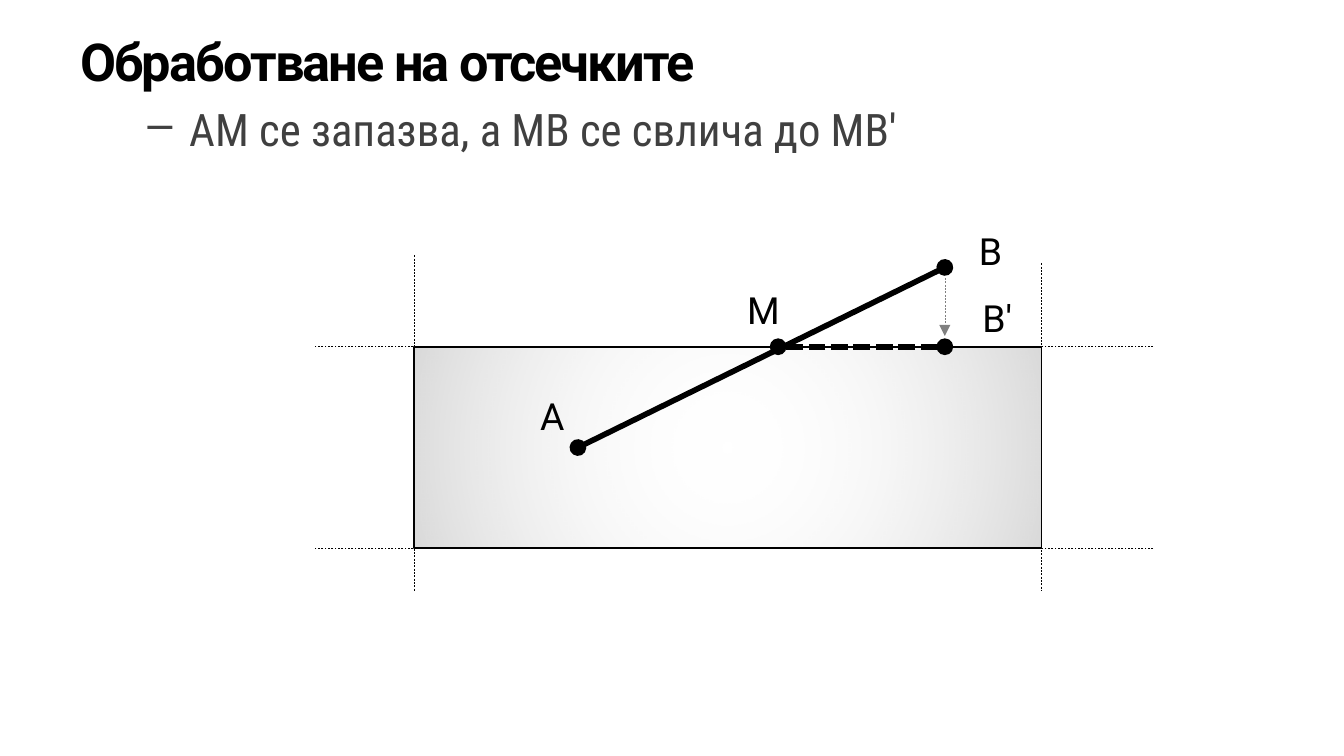
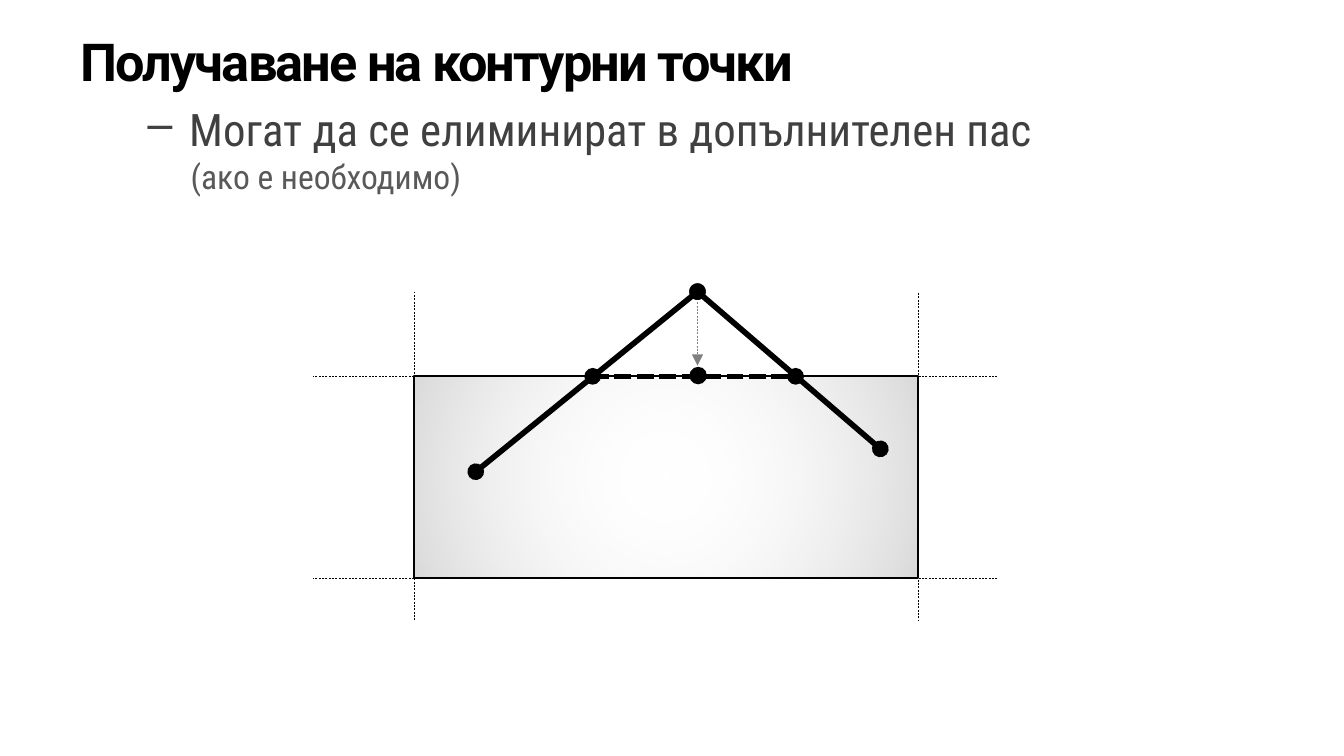
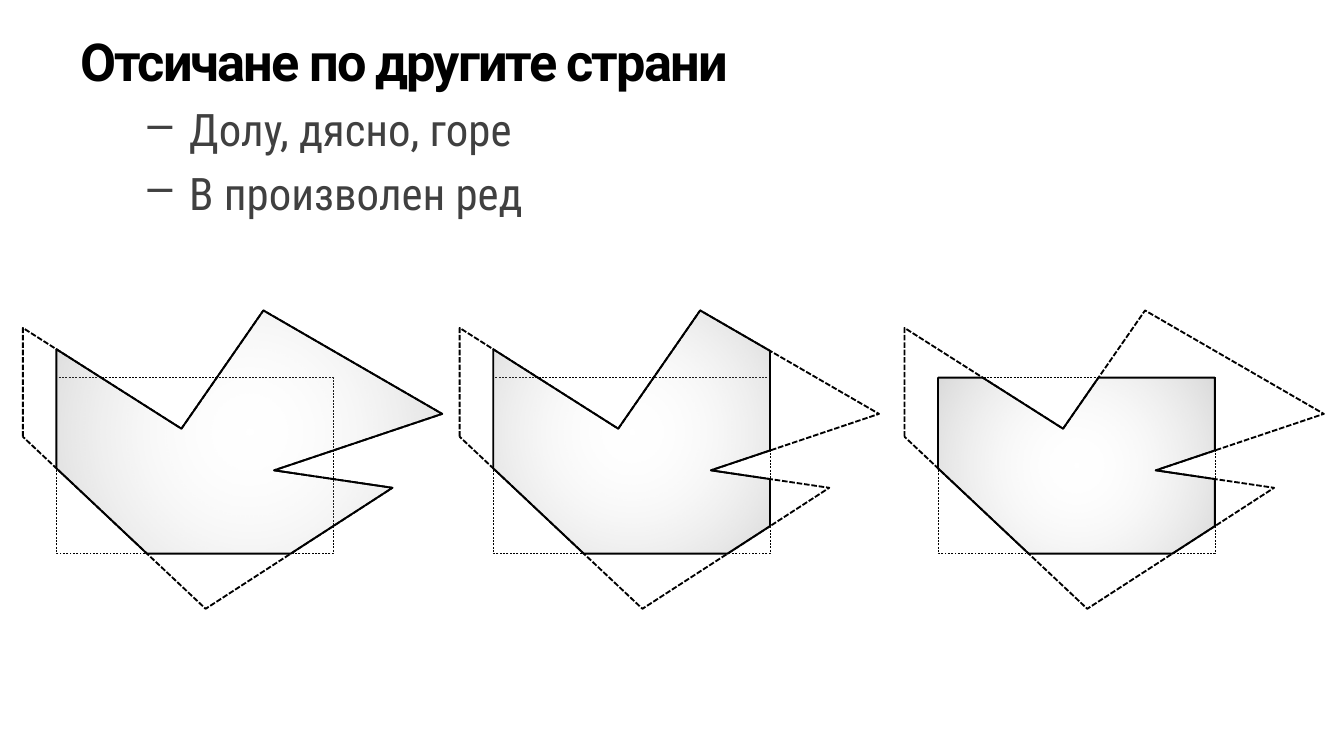
from pptx import Presentation
from pptx.dml.color import RGBColor
from pptx.enum.dml import MSO_LINE
from pptx.enum.shapes import MSO_CONNECTOR, MSO_SHAPE
from pptx.enum.text import MSO_AUTO_SIZE, PP_ALIGN
from pptx.oxml import parse_xml
from pptx.oxml.ns import nsdecls, qn
from pptx.util import Emu, Pt

SCALE = 9144  # EMU in one px, 100 px to the inch
COLORS = {"ink": "000000", "body": "404040", "note": "595959",
          "gray": "808080", "white": "FFFFFF"}
HEAD = dict(size=28, bold=True, spc=-100, left=38, hang=-38)
ITEM = dict(size=24, font="Roboto Condensed", color="body", level=1,
            left=81, hang=-31, bullet="–", gap=5.2)
NOTE = dict(size=18, font="Roboto Condensed", color="note", level=2, left=82)
BOLD = dict(width=3, head="oval", tail="oval")
THIN = dict(width=0.25, dash=MSO_LINE.DASH)


def px(n):
    return Emu(round(n * SCALE))


def rgb(name):
    return RGBColor.from_string(COLORS[name])


def put(frame, text, size=20, font="Roboto", color="ink", bold=False, spc=0,
        align=PP_ALIGN.LEFT, level=0, left=0, hang=0, bullet=None, gap=0):
    """Add one paragraph to a text frame."""
    para = frame.paragraphs[0]
    if para.runs:
        para = frame.add_paragraph()
    para.level, para.alignment = level, align
    para.space_before = Pt(gap)
    props = para._p.get_or_add_pPr()
    props.set("marL", str(px(left)))
    props.set("indent", str(px(hang)))
    mark = f'buChar {nsdecls("a")} char="{bullet}"' if bullet else f'buNone {nsdecls("a")}'
    props.append(parse_xml(f"<a:{mark}/>"))
    run = para.add_run()
    run.text = text
    run.font.size, run.font.name, run.font.bold = Pt(size), font, bold
    run.font.color.rgb = rgb(color)
    run._r.get_or_add_rPr().set("spc", str(spc))


def frame_at(slide, x, y, w, h):
    frame = slide.shapes.add_textbox(px(x), px(y), px(w), px(h)).text_frame
    frame.word_wrap = True
    return frame


def heading(slide, title, items, note=None):
    frame = frame_at(slide, 50, 17, 950, 533)
    put(frame, title, **HEAD)
    for item in items:
        put(frame, item, **ITEM)
    if note:
        put(frame, note, **NOTE)


def label(slide, text, x, y):
    """Write a point's name centred on x with its box top at y."""
    frame = frame_at(slide, x - 54, y, 108, 44)
    frame.auto_size = MSO_AUTO_SIZE.SHAPE_TO_FIT_TEXT
    put(frame, text, align=PP_ALIGN.CENTER)


def stroke(line, width, dash=None, color="ink"):
    line.color.rgb = rgb(color)
    line.width = Pt(width)
    if dash:
        line.dash_style = dash


def link(shapes, start, end, head=None, tail=None, **style):
    """Draw a straight line with optional end marks."""
    line = shapes.add_connector(MSO_CONNECTOR.STRAIGHT,
                                *(px(n) for n in (*start, *end)))
    stroke(line.line, **style)
    props = line._element.spPr
    for tag, kind in (("headEnd", head), ("tailEnd", tail)):
        if kind:
            props.find(qn("a:ln")).append(
                parse_xml(f'<a:{tag} {nsdecls("a")} type="{kind}"/>'))
    props.append(parse_xml(f'<a:effectLst {nsdecls("a")}/>'))


def glow(shape):
    """Fill from a clear centre to a light gray rim."""
    shape.fill.background()
    props = shape._element.spPr
    stops = "".join(
        f'<a:gs pos="{pos}"><a:srgbClr val="{COLORS[name]}">'
        f'<a:alpha val="{alpha}"/></a:srgbClr></a:gs>'
        for pos, name, alpha in ((0, "white", 0), (100000, "gray", 30000)))
    grad = parse_xml(
        f'<a:gradFill {nsdecls("a")} rotWithShape="1"><a:gsLst>{stops}</a:gsLst>'
        '<a:path path="circle"><a:fillToRect l="50000" t="50000" r="50000" '
        'b="50000"/></a:path></a:gradFill>')
    props.replace(props.find(qn("a:noFill")), grad)


def finish(shape, fill=False, **style):
    shape.shadow.inherit = False
    if fill:
        glow(shape)
    else:
        shape.fill.background()
    stroke(shape.line, **style)


def block(slide, x, y, w, h, **style):
    shape = slide.shapes.add_shape(MSO_SHAPE.RECTANGLE, px(x), px(y), px(w), px(h))
    finish(shape, **style)


def polygon(slide, points, **style):
    first, *rest = [(px(x), px(y)) for x, y in points]
    path = slide.shapes.build_freeform(*first)
    path.add_line_segments(rest, close=True)
    finish(path.convert_to_shape(), **style)


def window(slide, x, y, w, h, rises, reach):
    """Draw the clipping window with its sides extended as guides."""
    right, base = x + w, y + h
    group = slide.shapes.add_group_shape().shapes
    for side, rise in zip((x, right), rises):
        link(group, (side, y - rise), (side, base + 32), **THIN)
    group = slide.shapes.add_group_shape().shapes
    for level in (base, y):
        link(group, (right + reach, level), (x - 75, level), **THIN)
    block(slide, x, y, w, h, fill=True, width=1)


def drop(slide, x, top, base):
    link(slide.shapes, (x, top + 8), (x, base - 8), tail="triangle",
         color="gray", **THIN)


def segment(slide, x, y):
    """One segment crossing the top side of the window at (x, y)."""
    window(slide, x, y, 467, 150, (68, 62), 83)
    end, top = x + 395, y - 59
    link(slide.shapes, (end, top), (x + 122, y + 75), **BOLD)
    for name, dx, dy in (("A", 103, 30), ("B", 429, -93),
                         ("M", 260, -49), ("B'", 434, -43)):
        label(slide, name, x + dx, y + dy)
    drop(slide, end, top, y)
    link(slide.shapes, (end, y), (x + 271, y), dash=MSO_LINE.SQUARE_DOT, **BOLD)


def corner(slide, x, y):
    """Two segments that meet above the top side of the window."""
    window(slide, x, y, 375, 150, (63, 62), 59)
    peak = (x + 211, y - 63)
    for foot in ((x + 46, y + 71), (x + 426 - 79, y + 54)):
        link(slide.shapes, peak, foot, **BOLD)
    drop(slide, *peak, y)
    dot = slide.shapes.add_shape(MSO_SHAPE.OVAL, px(peak[0] - 6), px(y - 7),
                                 px(13), px(13))
    dot.shadow.inherit = False
    dot.fill.solid()
    dot.fill.fore_color.rgb = rgb("ink")
    dot.line.fill.background()
    link(slide.shapes, (x + 284, y), (x + 133, y), dash=MSO_LINE.SQUARE_DOT, **BOLD)


OUTLINE = [(0, 94), (0, 13), (118, 88), (179, 0), (312, 77), (187, 119),
           (275, 132), (136, 222)]
CROP = (25, 50, 206, 131)
# side: axis, limit, direction of the kept half
SIDES = {"left": (0, 25, 1), "base": (1, 181, -1),
         "right": (0, 231, -1), "top": (1, 50, 1)}


def clip(points, axis, limit, sign):
    """Cut a polygon along one side of the window."""
    kept = []
    for a, b in zip(points, points[1:] + points[:1]):
        da, db = (sign * (p[axis] - limit) for p in (a, b))
        if da >= 0:
            kept.append(a)
        if da * db < 0:
            t = da / (da - db)
            kept.append(tuple(m + t * (n - m) for m, n in zip(a, b)))
    return kept


def stage(slide, x, y, sides):
    """One step of clipping, cut along the named sides."""
    def shift(points):
        return [(x + dx, y + dy) for dx, dy in points]

    left, top, w, h = CROP
    block(slide, x + left, y + top, w, h, **THIN)
    polygon(slide, shift(OUTLINE), width=1, dash=MSO_LINE.SQUARE_DOT)
    shape = OUTLINE
    for side in sides:
        shape = clip(shape, *SIDES[side])
    polygon(slide, shift(shape), fill=True, width=1)


def main():
    deck = Presentation()
    deck.slide_width, deck.slide_height = px(1000), px(562.5)
    first, second, third = (deck.slides.add_slide(deck.slide_layouts[6])
                            for _ in range(3))

    heading(first, "Обработване на отсечките",
            ["AM се запазва, а MB се свлича до MB'"])
    segment(first, 308, 258)

    heading(second, "Получаване на контурни точки",
            ["Могат да се елиминират в допълнителен пас"], "(ако е необходимо)")
    corner(second, 308, 280)

    heading(third, "Отсичане по другите страни",
            ["Долу, дясно, горе", "В произволен ред"])
    for count, x in enumerate((17, 342, 673), 2):
        stage(third, x, 231, list(SIDES)[:count])

    deck.save("out.pptx")


if __name__ == "__main__":
    main()
